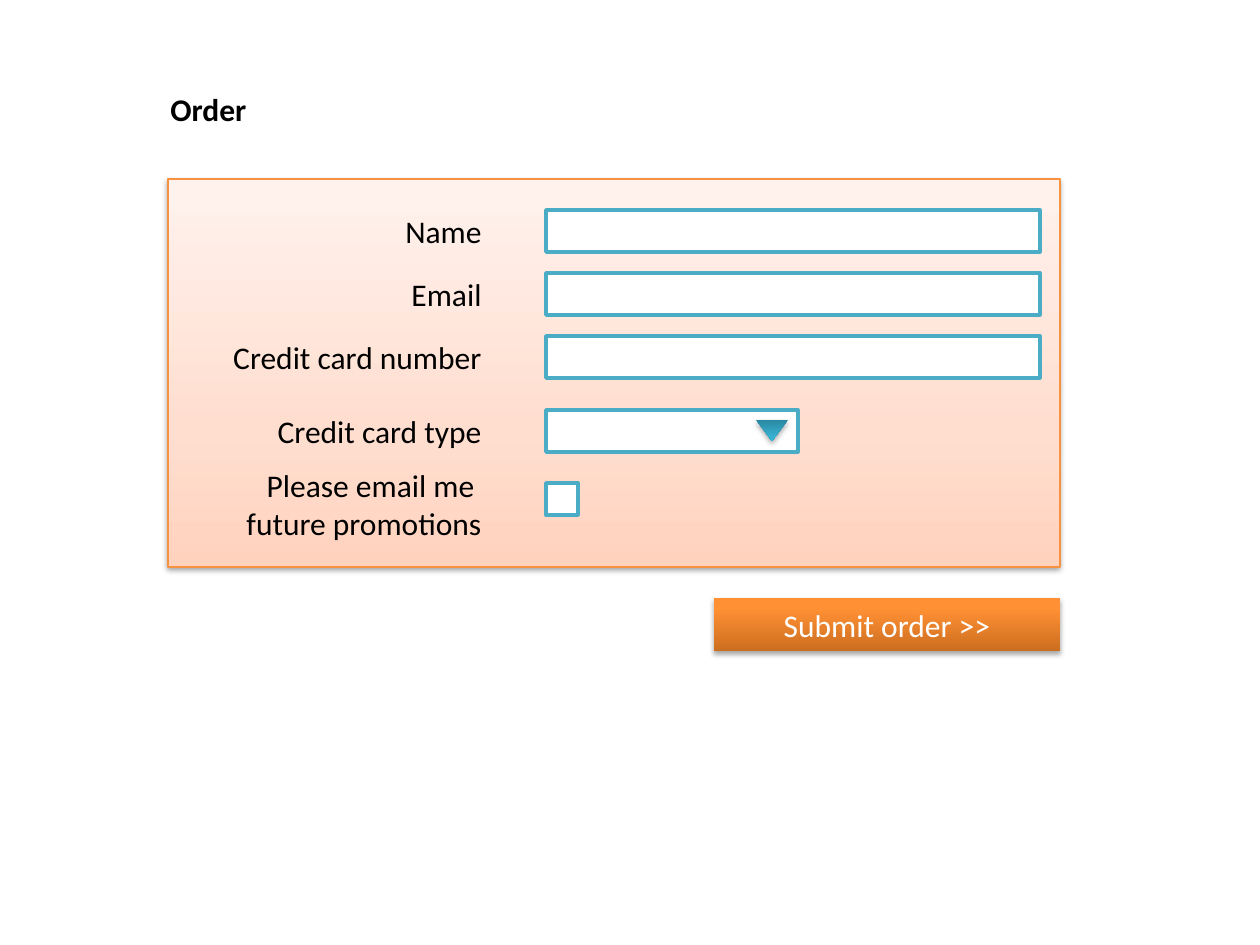
from lxml.etree import SubElement
from pptx import Presentation
from pptx.dml.color import RGBColor
from pptx.enum.shapes import MSO_SHAPE
from pptx.enum.text import MSO_ANCHOR, PP_ALIGN
from pptx.oxml.ns import qn
from pptx.util import Pt

SCALE = 914400 // 126


def px(value):
    return value * SCALE


def colour(value):
    return RGBColor.from_string(value)


def apply(target, values):
    for name, value in values.items():
        setattr(target, name, value)


class Form:
    font = {"name": "Calibri", "size": Pt(18)}
    ink = "000000"
    field_line = ("4BACC6", 2)

    def __init__(self, page):
        self.page = page

    def caption(self, box, words, ink=ink, align=PP_ALIGN.LEFT, anchor=MSO_ANCHOR.MIDDLE, bold=False):
        frame = box.text_frame
        apply(frame, {"word_wrap": True, "vertical_anchor": anchor})
        para = frame.paragraphs[0]
        apply(para, {"text": words, "alignment": align})
        for span in para.runs:
            apply(span.font, {**self.font, "bold": bold})
            span.font.color.rgb = colour(ink)

    def text(self, words, left, top, width, height, **format_values):
        box = self.page.shapes.add_textbox(px(left), px(top), px(width), px(height))
        self.caption(box, words, **format_values)

    def shape(self, left, top, width, height, fill="FFFFFF", line=None, shadow=None,
              kind=MSO_SHAPE.RECTANGLE, group=None):
        shapes = (group or self.page).shapes
        box = shapes.add_shape(kind, px(left), px(top), px(width), px(height))
        box.shadow.inherit = False
        if isinstance(fill, str):
            box.fill.solid()
            box.fill.fore_color.rgb = colour(fill)
        else:
            self.gradient(box, fill)
        if line:
            box.line.color.rgb = colour(line[0])
            box.line.width = Pt(line[1])
        else:
            box.line.fill.background()
        if shadow:
            self.shadow(box, *shadow)
        return box

    def gradient(self, box, stops):
        box.fill.gradient()
        box.fill.gradient_angle = 90
        stop_list = box.element.spPr.find(".//" + qn("a:gsLst"))
        for stop in list(stop_list):
            stop_list.remove(stop)
        for position, value in stops:
            stop = SubElement(stop_list, qn("a:gs"), pos=str(position * 1000))
            SubElement(stop, qn("a:srgbClr"), val=value)

    def shadow(self, box, opacity, distance):
        effects = box.element.spPr.find(qn("a:effectLst"))
        outer = SubElement(effects, qn("a:outerShdw"), blurRad=str(Pt(3.1)),
                           dist=str(Pt(distance)), dir="5400000", rotWithShape="0")
        tint = SubElement(outer, qn("a:srgbClr"), val="000000")
        SubElement(tint, qn("a:alpha"), val=str(opacity * 1000))

    def field(self, top, width, height=42, group=None):
        return self.shape(546, top, width, height, line=self.field_line, group=group)

    def label(self, words, top):
        self.text(words, 189, top, 305, 42, align=PP_ALIGN.RIGHT)

    def dropdown(self, top):
        group = self.page.shapes.add_group_shape()
        self.field(top, 252, group=group)
        arrow = self.shape(756, top + 10, 32, 21, kind=MSO_SHAPE.FLOWCHART_EXTRACT, group=group,
                           fill=[(0, "2A88A2"), (80, "37B1D2"), (100, "34B4D6")], shadow=(35, 1.8))
        arrow.element.spPr.xfrm.set("flipV", "1")


deck = Presentation()
apply(deck, {"slide_width": px(1260), "slide_height": px(945)})
form = Form(deck.slides.add_slide(deck.slide_layouts[6]))

form.text("Order", 158, 84, 766, 50, anchor=MSO_ANCHOR.TOP, bold=True)
form.shape(168, 179, 892, 388, fill=[(0, "FFD2BD"), (35, "FFDED0"), (100, "FFF2ED")],
           line=("F69240", 0.75), shadow=(38, 1.6))
button = form.shape(714, 598, 346, 53, fill=[(0, "CC6E20"), (80, "FF9034"), (100, "FF9136")],
                    shadow=(35, 1.8))
form.caption(button, "Submit order >>", ink="FFFFFF", align=PP_ALIGN.CENTER)

for row, words in enumerate(["Name", "Email", "Credit card number"]):
    top = 210 + row * 63
    form.label(words, top)
    form.field(top, 494)

form.label("Credit card type", 410)
form.dropdown(410)
form.label("Please email me \vfuture promotions", 483)
form.field(483, 32, 32)

deck.save("out.pptx")
